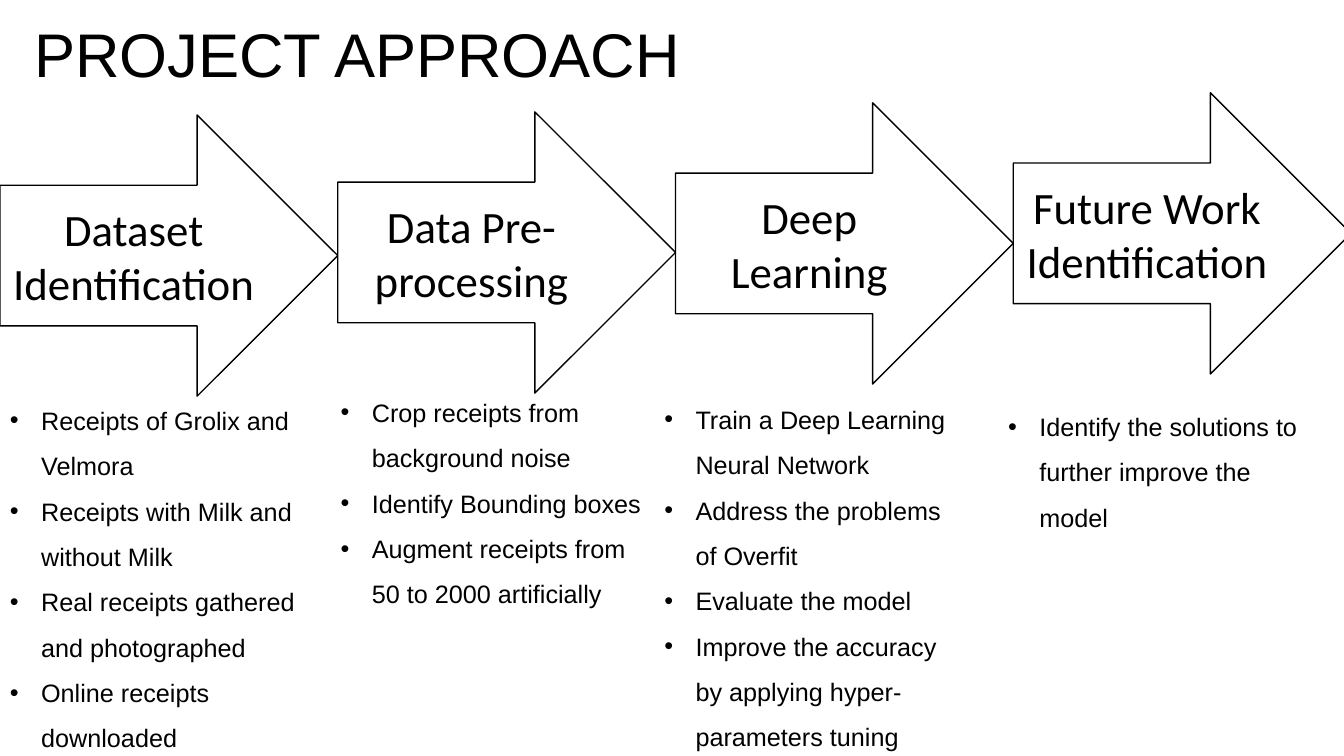
from pptx import Presentation
from pptx.dml.color import RGBColor
from pptx.enum.shapes import MSO_SHAPE
from pptx.enum.text import MSO_ANCHOR, MSO_AUTO_SIZE, PP_ALIGN
from pptx.oxml import parse_xml
from pptx.oxml.ns import nsdecls
from pptx.util import Inches, Pt

BLACK = RGBColor(0, 0, 0)
WHITE = RGBColor(255, 255, 255)

ARROW_W, ARROW_H = 3.35, 2.79
LIST_W = 3.21

# label, arrow top, list left, list top, list height, points
STEPS = [
    ("Dataset Identification", 1.14, 0, 3.82, 3.68, [
        "Receipts of Grolix and Velmora",
        "Receipts with Milk and without Milk",
        "Real receipts gathered and photographed",
        "Online receipts downloaded"]),
    ("Data Pre- processing", 1.11, 3.28, 3.74, 2.32, [
        "Crop receipts from background noise",
        "Identify Bounding boxes",
        "Augment receipts from 50 to 2000 artificially"]),
    ("Deep Learning", 1.02, 6.49, 3.81, 3.68, [
        "Train a Deep Learning Neural Network",
        "Address the problems of Overfit",
        "Evaluate the model",
        "Improve the accuracy by applying hyper-parameters tuning"]),
    ("Future Work Identification", 0.92, 9.9, 3.88, 1.41, [
        "Identify the solutions to further improve the model"]),
]


def write(para, text, size=18, font="Arial", align=None, space=None, bullet=False):
    run = para.add_run()
    run.text = text
    run.font.size = Pt(size)
    run.font.name = font
    run.font.color.rgb = BLACK
    para.alignment = align
    para.line_spacing = space
    if bullet:
        props = para._p.get_or_add_pPr()
        indent = Inches(0.31)
        props.set("marL", str(indent))
        props.set("indent", str(-indent))
        for mark in ('<a:buFont %s typeface="Arial"/>', '<a:buChar %s char="•"/>'):
            props.append(parse_xml(mark % nsdecls("a")))


class Board:
    font = "Calibri"
    line = Pt(1)

    def __init__(self, slide):
        self.shapes = slide.shapes

    def box(self, x, y, w, h, wrap=True):
        frame = self.shapes.add_textbox(
            Inches(x), Inches(y), Inches(w), Inches(h)).text_frame
        frame.word_wrap = wrap
        frame.auto_size = MSO_AUTO_SIZE.SHAPE_TO_FIT_TEXT
        return frame

    def title(self, text):
        frame = self.box(0.24, 0.11, 6.67, 0.84, wrap=False)
        write(frame.paragraphs[0], text, size=44)

    def arrow(self, x, y, label):
        shape = self.shapes.add_shape(
            MSO_SHAPE.RIGHT_ARROW,
            Inches(x), Inches(y), Inches(ARROW_W), Inches(ARROW_H))
        shape.shadow.inherit = False
        shape.fill.solid()
        shape.fill.fore_color.rgb = WHITE
        shape.line.color.rgb = BLACK
        shape.line.width = self.line
        frame = shape.text_frame
        frame.word_wrap = True
        frame.vertical_anchor = MSO_ANCHOR.MIDDLE
        write(frame.paragraphs[0], label, size=32, font=self.font,
              align=PP_ALIGN.CENTER)

    def points(self, x, y, h, items):
        frame = self.box(x, y, LIST_W, h)
        for i, item in enumerate(items):
            para = frame.add_paragraph() if i else frame.paragraphs[0]
            write(para, item, space=1.5, bullet=True)


def main():
    deck = Presentation()
    deck.slide_width, deck.slide_height = Inches(13.33), Inches(7.5)
    board = Board(deck.slides.add_slide(deck.slide_layouts[6]))
    board.title("PROJECT APPROACH")
    for i, (label, top, x, y, h, items) in enumerate(STEPS):
        board.arrow(i * ARROW_W, top, label)
        board.points(x, y, h, items)
    deck.save("out.pptx")


if __name__ == "__main__":
    main()
